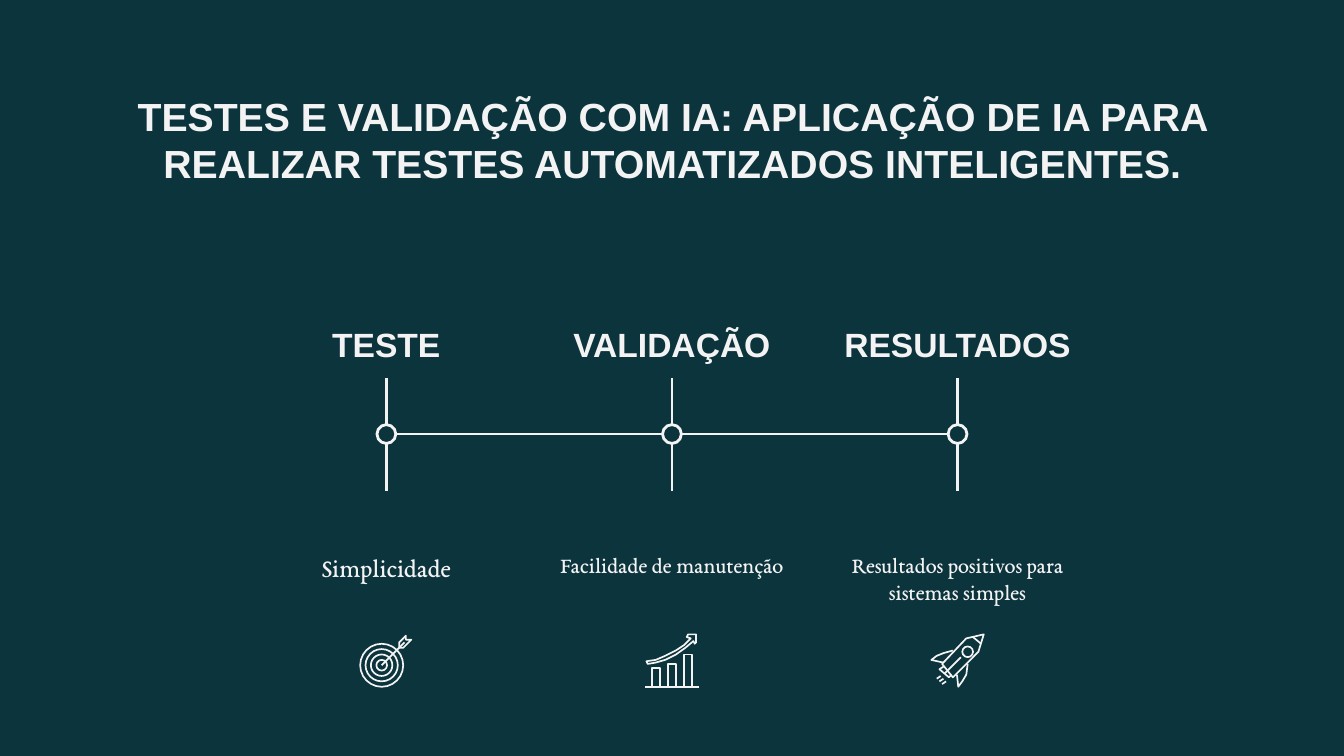
from pptx import Presentation
from pptx.dml.color import RGBColor
from pptx.enum.shapes import MSO_CONNECTOR, MSO_SHAPE
from pptx.enum.text import MSO_ANCHOR, PP_ALIGN
from pptx.oxml.ns import qn
from pptx.util import Inches, Pt
from lxml import etree

COLORS = {"bg": "0C343D", "ink": "F3F3F3"}
INK = RGBColor.from_string(COLORS["ink"])
HEADING = {"name": "Arial", "bold": True}
BODY = {"name": "EB Garamond", "bold": False}

# 16:9 slide
prs = Presentation()
prs.slide_width = Inches(10)
prs.slide_height = Inches(10 * 9 / 16)
s = prs.slides.add_slide(prs.slide_layouts[6])
s.background.fill.solid()
s.background.fill.fore_color.rgb = RGBColor.from_string(COLORS["bg"])


def add_text(text, box, size, font, anchor=MSO_ANCHOR.TOP):
    sp = s.shapes.add_textbox(*[Inches(v) for v in box])
    tf = sp.text_frame
    frame = {"word_wrap": True, "vertical_anchor": anchor}
    for side in ("left", "top", "right", "bottom"):
        frame["margin_" + side] = Inches(0.1)
    for key, value in frame.items():
        setattr(tf, key, value)
    p = tf.paragraphs[0]
    p.alignment = PP_ALIGN.CENTER
    r = p.add_run()
    r.text = text
    for key, value in {**font, "size": Pt(size)}.items():
        setattr(r.font, key, value)
    r.font.color.rgb = INK
    return sp


def outline(sp, width):
    sp.line.color.rgb = INK
    sp.line.width = Pt(width)
    if hasattr(sp, "fill"):
        sp.fill.background()
        sp.shadow.inherit = False
    else:
        etree.SubElement(sp._element.spPr, qn("a:effectLst"))


# Title
add_text("TESTES E VALIDAÇÃO COM IA: APLICAÇÃO DE IA PARA REALIZAR TESTES "
         "AUTOMATIZADOS INTELIGENTES.", (0.79, 0.59, 8.43, 0.63), 21, HEADING)

# Timeline steps, spread evenly around the middle of the slide
STEPS = [("TESTE", "Simplicidade", 14),
         ("VALIDAÇÃO", "Facilidade de manutenção", 12),
         ("RESULTADOS", "Resultados positivos para sistemas simples", 12)]
MIDDLE, STEP, AXIS, RADIUS, COL = 5, 4.25 / 2, 3.23, 0.07, 2.06
for i, (heading, description, size) in enumerate(STEPS):
    x = MIDDLE + (i - 1) * STEP
    left = x - COL / 2
    title = add_text(heading, (left, 2.31, COL, 0.5), 18, HEADING, MSO_ANCHOR.BOTTOM)
    add_text(description, (left, 4, COL, 0.6), size, BODY)
    node = s.shapes.add_shape(MSO_SHAPE.OVAL, Inches(x - RADIUS), Inches(AXIS - RADIUS),
                              Inches(2 * RADIUS), Inches(2 * RADIUS))
    outline(node, 1.5)

    lines = [(x, AXIS - RADIUS, x, 2.81), (x, AXIS + RADIUS, x, 3.65)]
    if i < len(STEPS) - 1:
        lines.append((x + RADIUS, AXIS, x + STEP - RADIUS, AXIS))
    for j, ends in enumerate(lines):
        line = s.shapes.add_connector(MSO_CONNECTOR.STRAIGHT, *[Inches(v) for v in ends])
        if j == 0:
            line.end_connect(title, 2)
        outline(line, 1.5)

# Icon circles: target rings and rocket window (centre x, centre y, radius)
circles = [(2.84, 4.95, r) for r in (0.16, 0.12, 0.08, 0.04)] + [(7.2, 4.85, 0.04)]
for x, y, r in circles:
    ring = s.shapes.add_shape(MSO_SHAPE.OVAL, Inches(x - r), Inches(y - r),
                              Inches(2 * r), Inches(2 * r))
    outline(ring, 0.9)

# Icon bars of the growth chart, standing on its base line
BASE = 5.11
for x, top in ((4.85, 4.97), (4.97, 4.94), (5.09, 4.87)):
    bar = s.shapes.add_shape(MSO_SHAPE.RECTANGLE, Inches(x), Inches(top),
                             Inches(0.06), Inches(BASE - top))
    outline(bar, 0.9)

# Icon strokes: (points, closed)
STROKES = [
    # target arrow: shaft, feathers
    ([(2.84, 4.95), (3.01, 4.78)], False),
    ([(2.97, 4.78), (3.02, 4.73), (3.02, 4.76), (3.06, 4.76), (3, 4.82), (2.97, 4.82)], True),
    # growth chart: base line, rising arrow
    ([(4.8, BASE), (5.2, BASE)], False),
    ([(4.81, 4.92), (4.88, 4.91), (4.95, 4.88), (5.03, 4.84), (5.09, 4.8), (5.14, 4.75),
      (5.11, 4.74), (5.12, 4.72), (5.18, 4.72), (5.18, 4.78), (5.17, 4.79), (5.16, 4.77),
      (5.1, 4.82), (5.03, 4.87), (4.95, 4.91), (4.88, 4.93), (4.82, 4.94)], True),
    # rocket: body, nose, fins, nozzle, stripe
    ([(7.32, 4.72), (7.28, 4.85), (7.09, 5.04), (7.01, 4.94), (7.19, 4.75)], True),
    ([(7.24, 4.74), (7.3, 4.79)], False),
    ([(7.09, 4.84), (7.02, 4.86), (6.97, 4.88), (6.93, 4.91), (7.02, 4.93)], False),
    ([(7.2, 4.94), (7.19, 5.02), (7.16, 5.07), (7.13, 5.11), (7.12, 5.02)], False),
    ([(7.02, 4.96), (6.99, 4.98), (7.06, 5.04), (7.08, 5.02)], False),
    ([(7.03, 5.01), (7.15, 4.89)], False),
]
# rocket exhaust
STROKES += [([(7 + d, 5.03 + d), (6.97 + d, 5.05 + d)], False) for d in (0, 0.02, 0.04)]
for points, closed in STROKES:
    start, *rest = [(Inches(x), Inches(y)) for x, y in points]
    builder = s.shapes.build_freeform(*start)
    builder.add_line_segments(rest, close=closed)
    outline(builder.convert_to_shape(), 0.9)

prs.save("out.pptx")
